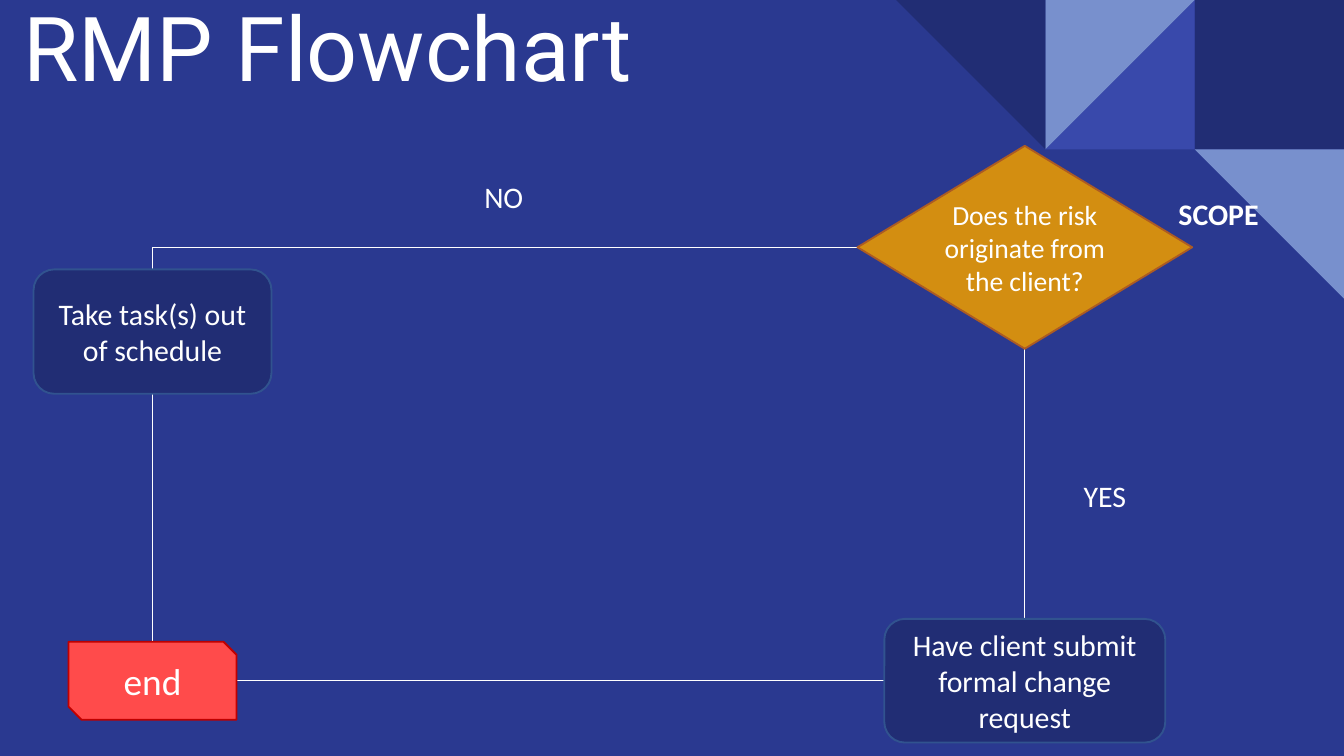
from dataclasses import dataclass

from lxml.etree import SubElement
from pptx import Presentation
from pptx.dml.color import RGBColor
from pptx.enum.shapes import MSO_CONNECTOR, MSO_SHAPE
from pptx.enum.text import MSO_ANCHOR, PP_ALIGN
from pptx.oxml.ns import qn
from pptx.util import Inches, Pt


@dataclass(frozen=True)
class Theme:
    """Colours, fonts and type sizes of the slide."""
    back: str = "2A3990"
    navy: str = "212D74"
    blue: str = "3949AB"
    pale: str = "7890CD"
    white: str = "FFFFFF"
    amber: str = "D38E11"
    rust: str = "AC5B23"
    steel: str = "31538F"
    red: str = "FF4B4B"
    wine: str = "C00000"
    body: str = "Calibri"
    head: str = "Roboto"
    title: float = 48
    end: float = 20
    text: float = 16
    ask: float = 14.8
    edge: float = 1
    wire: float = 0.75


THEME = Theme()
COLS, ROWS = 100, 56.25
TILE = COLS / 9


def grid(*cells):
    """Turn grid columns or rows of a tenth of an inch into lengths."""
    return [Inches(cell / 10) for cell in cells]


def tint(code):
    """Return the colour for a hex code."""
    return RGBColor.from_string(code)


def write(shape, words, size, font=THEME.body, bold=False,
          align=PP_ALIGN.CENTER, anchor=MSO_ANCHOR.MIDDLE, pad=(1, 0.5)):
    """Put one styled run of text into a shape."""
    frame = shape.text_frame
    frame.word_wrap = True
    frame.vertical_anchor = anchor
    frame.margin_left = frame.margin_right = grid(pad[0])[0]
    frame.margin_top = frame.margin_bottom = grid(pad[1])[0]
    para = frame.paragraphs[0]
    para.alignment = align
    run = para.add_run()
    run.text = words
    run.font.size = Pt(size)
    run.font.name = font
    run.font.bold = bold
    run.font.color.rgb = tint(THEME.white)


def block(slide, kind, box, fill, line=None):
    """Draw a filled preset shape, outlined if a line colour is given."""
    shape = slide.shapes.add_shape(kind, *grid(*box))
    shape.shadow.inherit = False
    shape.fill.solid()
    shape.fill.fore_color.rgb = tint(fill)
    if line:
        shape.line.color.rgb = tint(line)
        shape.line.width = Pt(THEME.edge)
    else:
        shape.line.fill.background()
    return shape


def tile(slide, col, row, kind, fill, turn=0):
    """Draw one square of the corner mosaic."""
    box = (col * TILE, row * TILE, TILE, TILE)
    block(slide, kind, box, fill).rotation = turn


def label(slide, box, words, size=THEME.text, **style):
    """Draw a text box."""
    write(slide.shapes.add_textbox(*grid(*box)), words, size, **style)


def wire(slide, start, stop):
    """Draw a thin straight connector between two points."""
    line = slide.shapes.add_connector(
        MSO_CONNECTOR.STRAIGHT, *grid(*start, *stop))
    line.line.color.rgb = tint(THEME.white)
    line.line.width = Pt(THEME.wire)
    SubElement(line._element.spPr, qn("a:effectLst"))


def mosaic(slide):
    """Draw the corner mosaic."""
    corner = MSO_SHAPE.RIGHT_TRIANGLE
    tile(slide, 8, 0, MSO_SHAPE.RECTANGLE, THEME.navy)
    tile(slide, 7, 0, corner, THEME.blue, 270)
    tile(slide, 7, 0, corner, THEME.pale, 90)
    tile(slide, 6, 0, corner, THEME.navy, 180)
    tile(slide, 8, 1, corner, THEME.pale, 180)


def wires(slide, ask, task, form, end):
    """Join the boxes of the flow along their centre lines."""
    left, right = task[0] + task[2] / 2, ask[0] + ask[2] / 2
    top, base = ask[1] + ask[3] / 2, end[1] + end[3] / 2
    wire(slide, (right, ask[1] + ask[3]), (right, form[1]))
    wire(slide, (ask[0], top), (left, top))
    wire(slide, (left, top), (left, task[1]))
    wire(slide, (left, task[1] + task[3]), (left, end[1]))
    wire(slide, (end[0] + end[2], base), (form[0], base))


def flow(slide):
    """Draw the decision, its steps and their labels."""
    ask, task = (63.8, 10.85, 24.9, 15.1), (2.5, 20.05, 17.7, 9.25)
    form, end = (65.8, 46.05, 20.9, 9.2), (5.1, 47.75, 12.5, 5.8)
    wires(slide, ask, task, form, end)
    shape = block(slide, MSO_SHAPE.DIAMOND, ask, THEME.amber, THEME.rust)
    write(shape, "Does the risk originate from the client?", THEME.ask,
          pad=(0, 0))
    for box, words in ((task, "Take task(s) out of schedule"),
                       (form, "Have client submit formal change request")):
        shape = block(slide, MSO_SHAPE.ROUNDED_RECTANGLE, box,
                      THEME.navy, THEME.steel)
        write(shape, words, THEME.text)
    shape = block(slide, MSO_SHAPE.SNIP_2_DIAG_RECTANGLE, end,
                  THEME.red, THEME.wine)
    write(shape, "end", THEME.end)
    for box, words, bold in (((86.7, 14.1, 11.2, 3.7), "SCOPE", True),
                             ((35.05, 12.8, 9, 3.7), "NO", False),
                             ((79.65, 35.05, 9, 3.7), "YES", False)):
        label(slide, box, words, bold=bold, align=PP_ALIGN.LEFT,
              anchor=MSO_ANCHOR.TOP)


def main():
    """Build the slide and save it."""
    deck = Presentation()
    deck.slide_width, deck.slide_height = grid(COLS, ROWS)
    slide = deck.slides.add_slide(deck.slide_layouts[6])
    slide.background.fill.solid()
    slide.background.fill.fore_color.rgb = tint(THEME.back)
    mosaic(slide)
    label(slide, (-8.45, -0.8, 65.7, 9.2), "RMP Flowchart", THEME.title,
          font=THEME.head, anchor=MSO_ANCHOR.BOTTOM, pad=(1, 1))
    flow(slide)
    deck.save("out.pptx")


if __name__ == "__main__":
    main()
